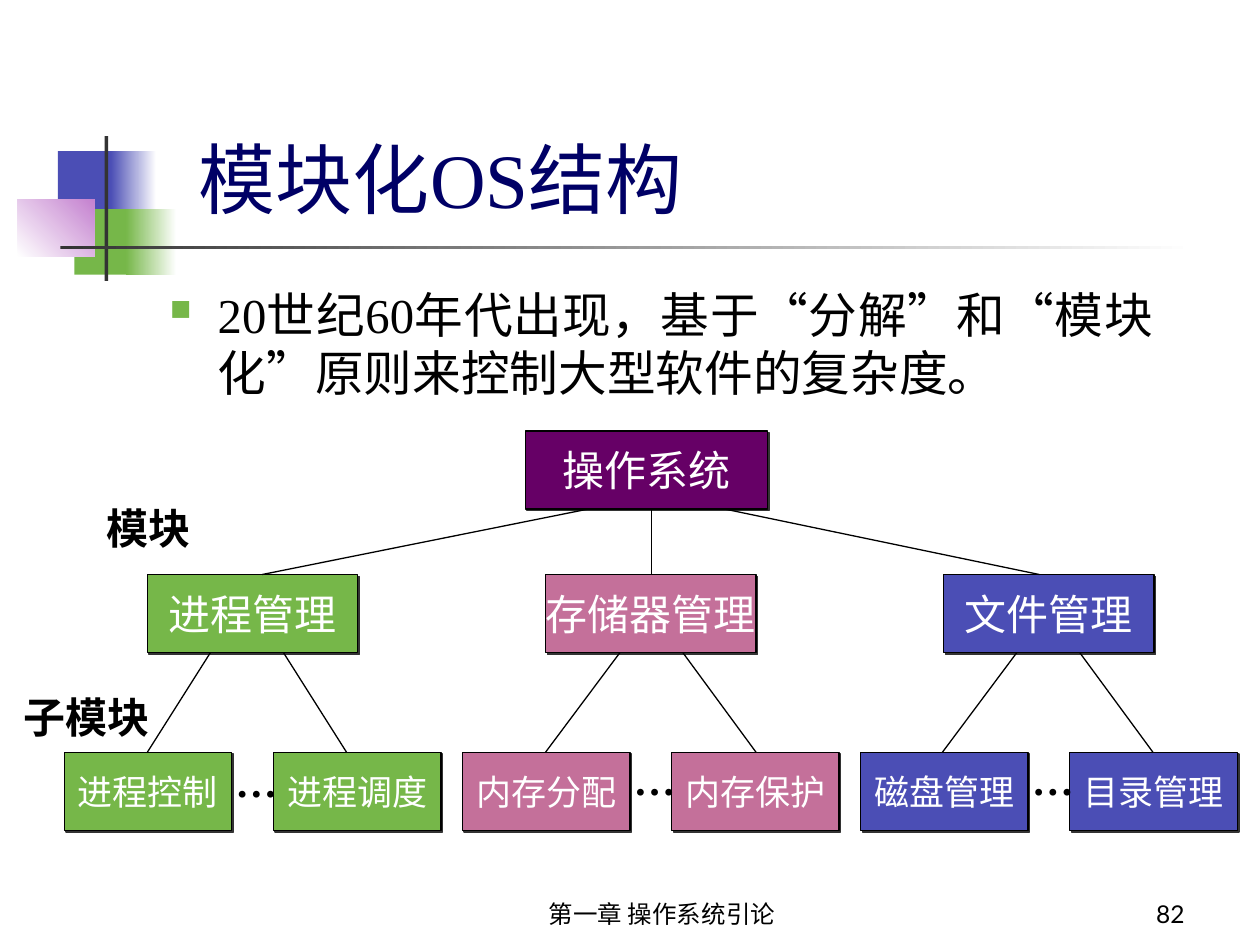
"""Build the slide on modular operating system structure as a module tree."""
from dataclasses import dataclass

from lxml import etree
from pptx import Presentation
from pptx import util as u
from pptx.dml.color import RGBColor
from pptx.enum import shapes, text
from pptx.oxml import ns


@dataclass(frozen=True)
class Theme:
    blue: str = "4B4EB5"
    green: str = "76B749"
    rose: str = "C4709A"
    mauve: str = "C481CF"
    plum: str = "660066"
    navy: str = "000066"
    dark: str = "333333"
    black: str = "000000"
    white: str = "FFFFFF"
    serif: str = "Times New Roman"
    sans: str = "Lato"
    title: float = 44
    body: float = 27.8
    node: float = 24
    leaf: float = 20
    foot: float = 14


T = Theme()
RGB = RGBColor.from_string
A = text.PP_ALIGN
V = text.MSO_ANCHOR
deck = Presentation()
deck.slide_width, deck.slide_height = u.Inches(10), u.Inches(7.5)
slide = deck.slides.add_slide(deck.slide_layouts[6])


def write(words, box, shape=None, size=T.node, font=T.sans, color=T.black, bold=False,
          align=A.LEFT, anchor=V.TOP, wrap=True, bullet=None):
    shape = shape or slide.shapes.add_textbox(*map(u.Inches, box))
    frame = shape.text_frame
    frame.word_wrap, frame.vertical_anchor = wrap, anchor
    para = frame.paragraphs[0]
    para.alignment = align
    if bullet:
        props = para._p.get_or_add_pPr()
        props.set("marL", str(u.Inches(0.38)))
        props.set("indent", str(-u.Inches(0.38)))
        tint = etree.SubElement(props, ns.qn("a:buClr"))
        etree.SubElement(tint, ns.qn("a:srgbClr"), val=bullet)
        etree.SubElement(props, ns.qn("a:buSzPct"), val="60000")
        etree.SubElement(props, ns.qn("a:buChar"), char="■")
    run = para.add_run()
    run.text = words
    run.font.size, run.font.name, run.font.bold = u.Pt(size), font, bold
    run.font.color.rgb = RGB(color)


def block(box, *fill, angle=0):
    shape = slide.shapes.add_shape(shapes.MSO_SHAPE.RECTANGLE, *map(u.Inches, box))
    shape.shadow.inherit = False
    shape.line.fill.background()
    if len(fill) == 1:
        shape.fill.solid()
        shape.fill.fore_color.rgb = RGB(fill[0])
    else:
        shape.fill.gradient()
        shape.fill.gradient_angle = angle
        for stop, color, spot in zip(shape.fill.gradient_stops, fill, (0, 1)):
            stop.color.rgb = RGB(color)
            stop.position = spot
    return shape


block((0.46, 1.2, 0.48, 0.52), T.blue)
block((0.88, 1.2, 0.36, 0.52), T.blue, T.white)
block((0.59, 1.66, 0.46, 0.52), T.green)
block((1, 1.66, 0.4, 0.52), T.green, T.white)
block((0.14, 1.58, 0.61, 0.46), T.white, T.mauve, angle=45)
block((0.83, 1.08, 0.03, 1.15), T.dark)
block((0.48, 1.95, 9, 0.03), T.dark, T.white)

write("第一章 操作系统引论", (3.67, 6.92, 3.17, 0.5), size=T.foot, align=A.CENTER, anchor=V.BOTTOM)
write("82", (7.42, 6.92, 2.08, 0.5), size=T.foot, align=A.RIGHT, anchor=V.BOTTOM)
write("模块化OS结构", (1.48, 0.58, 8.17, 1.25), size=T.title, font=T.serif,
      color=T.navy, anchor=V.BOTTOM)
write("20世纪60年代出现，基于“分解”和“模块化”原则来控制大型软件的复杂度。",
      (1.25, 2.21, 8, 1.29), size=T.body, font=T.serif, align=A.JUSTIFY, bullet=T.green)

high, top, mid, low = 0.62, 3.42, 4.56, 5.97
trees = [
    (1.17, T.green, "进程管理", ("进程控制", "进程调度"), (4.67, 2.08), (1.67, 2.25), (1.17, 2.75), 5.95),
    (4.33, T.rose, "存储器管理", ("内存分配", "内存保护"), (5.17, 5.17), (4.92, 5.42), (4.33, 6), 5.93),
    (7.49, T.blue, "文件管理", ("磁盘管理", "目录管理"), (5.75, 8.25), (8.07, 8.57), (7.48, 9.15), 5.93),
]
nodes = [("操作系统", (4.17, top, 1.92, high), T.plum, T.node)]
links = []
for left, color, name, kids, stem, hips, feet, dots in trees:
    nodes.append((name, (left, mid, 1.67, high), color, T.node))
    for kid, shift in zip(kids, (-0.66, 1)):
        nodes.append((kid, (left + shift, low, 1.33, high), color, T.leaf))
    links.append((stem[0], top + high, stem[1], mid))
    links += [(hip, mid + high, foot, low) for hip, foot in zip(hips, feet)]

for name, box, color, size in nodes:
    node = block(box, color)
    node.line.color.rgb, node.line.width = RGB(T.black), u.Pt(0.75)
    glow = etree.SubElement(node._element.spPr.find(ns.qn("a:effectLst")), ns.qn("a:outerShdw"),
                            dist=str(u.Pt(1.4)), dir="2700000", algn="ctr", rotWithShape="0")
    etree.SubElement(glow, ns.qn("a:srgbClr"), val=T.dark)
    write(name, box, node, size=size, color=T.white, align=A.CENTER, anchor=V.MIDDLE, wrap=False)

for ends in links:
    link = slide.shapes.add_connector(shapes.MSO_CONNECTOR.STRAIGHT, *map(u.Inches, ends))
    link.line.color.rgb, link.line.width = RGB(T.black), u.Pt(0.75)
    etree.SubElement(link._element.spPr, ns.qn("a:effectLst"))

for tree in trees:
    write("…", (tree[0] + 0.6, tree[-1], 0.42, 0.5), font=T.serif, bold=True)
write("模块", (0.75, 3.94, 0.95, 0.5), bold=True, wrap=False)
write("子模块", (0.09, 5.44, 1.2, 0.5), bold=True, wrap=False)

deck.save("out.pptx")
